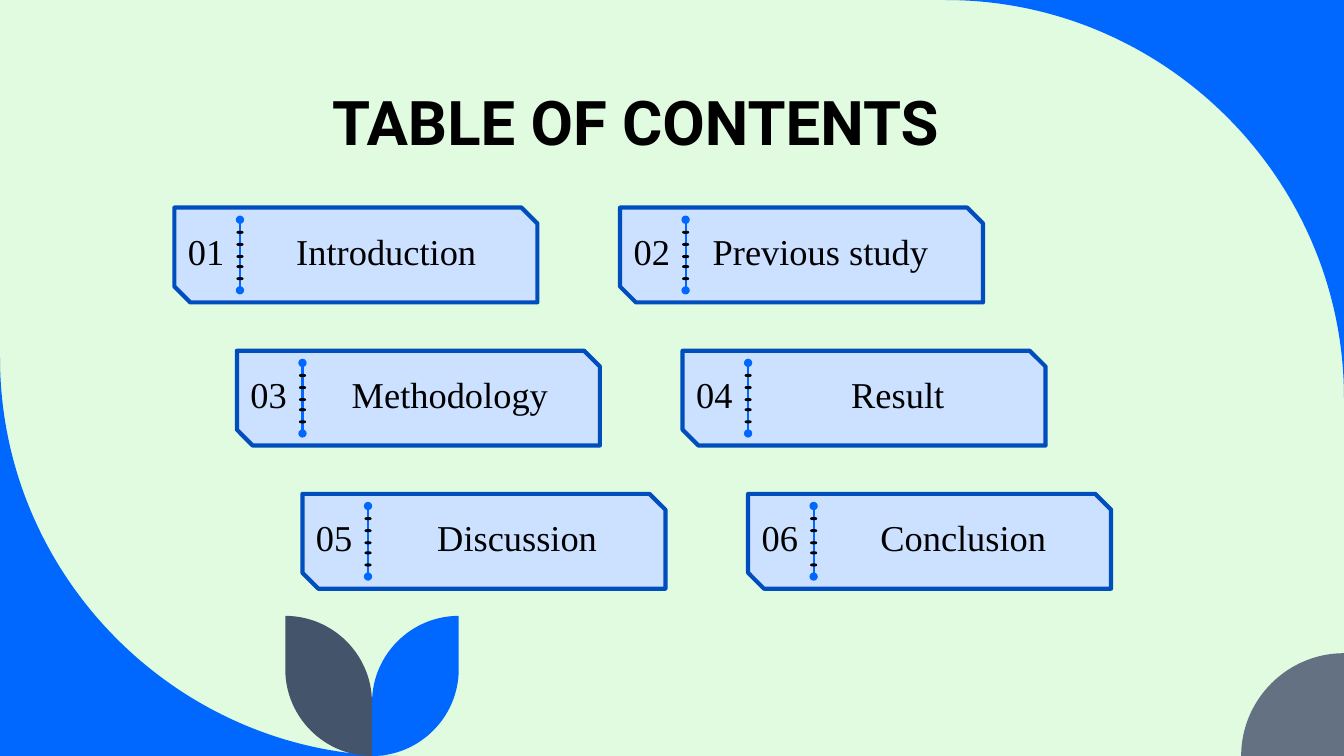
from lxml import etree
from pptx import Presentation
from pptx.dml.color import RGBColor
from pptx.enum.shapes import MSO_CONNECTOR as Connector, MSO_SHAPE as Shape
from pptx.enum.text import MSO_ANCHOR as Anchor, PP_ALIGN as Align
from pptx.oxml.ns import qn
from pptx.util import Inches, Pt

BACKGROUND = RGBColor(0xE1, 0xFB, 0xE0)
BLUE = RGBColor(0x00, 0x68, 0xFF)
DARK_BLUE = RGBColor(0x00, 0x4D, 0xBD)
PALE_BLUE = RGBColor(0xCC, 0xE1, 0xFF)
SLATE = RGBColor(0x44, 0x54, 0x6A)
GREY = RGBColor(0x63, 0x71, 0x83)
TICK_FILL = RGBColor(0x5F, 0x7D, 0x95)
BLACK = RGBColor(0, 0, 0)

WIDTH, HEIGHT = 13.33, 7.5
TITLE = "TABLE OF CONTENTS"
TITLE_BOX = (1.73, 0.82, 9.15, 0.94)

# Label, its offset inside the card, its width, its alignment
SECTIONS = [
    ("Introduction", 1.11, 2.04, Align.LEFT),
    ("Previous study", 0.82, 2.63, Align.LEFT),
    ("Methodology", 1.04, 2.18, Align.LEFT),
    ("Result", 0.82, 2.63, Align.CENTER),
    ("Discussion", 1.04, 2.18, Align.CENTER),
    ("Conclusion", 0.82, 2.63, Align.CENTER),
]
ROW_LEFTS = (1.73, 2.35, 3.0)
FIRST_TOP, ROW_STEP, COLUMN_STEP = 2.06, 1.42, 4.42
CARD_WIDTH, CARD_HEIGHT = 3.6, 0.94
NUMBER_WIDTH, TEXT_TOP, TEXT_HEIGHT = 0.63, 0.16, 0.53
DIVIDER_X, DIVIDER_TOP, DIVIDER_BOTTOM = 0.65, 0.12, 0.82
TICK_OFFSETS = (0.7, 0.58, 0.48, 0.36, 0.24)
TICK_WIDTH, TICK_HEIGHT = 0.05, 0.01

CORNER, SMALL_CORNER = 3.95, 1.02
STEM_X, LEAF, LEAF_TOP, LEAF_LOW, LEAF_HIGH = 3.69, 0.86, 6.11, 6.64, 6.97
ROUNDNESS = 0.55  # control point distance of a quarter circle
LINE, ACROSS, UPRIGHT = "line", "across", "upright"  # how a step sets off


def leaf_steps(tip_x):
    return [(tip_x, LEAF_TOP, LINE), (tip_x, LEAF_LOW, LINE),
            (STEM_X, HEIGHT, UPRIGHT), (STEM_X, LEAF_HIGH, LINE),
            (tip_x, LEAF_TOP, UPRIGHT)]


OUTLINES = [
    (BLUE, [(WIDTH - CORNER, 0, LINE), (WIDTH, CORNER, ACROSS), (WIDTH, 0, LINE)]),
    (BLUE, [(0, HEIGHT - CORNER, LINE), (CORNER, HEIGHT, UPRIGHT), (0, HEIGHT, LINE)]),
    (GREY, [(WIDTH, HEIGHT - SMALL_CORNER, LINE),
            (WIDTH - SMALL_CORNER, HEIGHT, ACROSS), (WIDTH, HEIGHT, LINE)]),
    (BLUE, leaf_steps(STEM_X + LEAF)),
    (SLATE, leaf_steps(STEM_X - LEAF)),
]


def paint(shape, fill, line=None, line_width=0):
    shape.shadow.inherit = False
    shape.fill.solid()
    shape.fill.fore_color.rgb = fill
    if line is None:
        shape.line.fill.background()
    else:
        shape.line.color.rgb = line
        shape.line.width = Pt(line_width)


def bend(segment, start, end, direction):
    """Turn a straight segment into a quarter circle."""
    corner = (end[0], start[1]) if direction == ACROSS else (start[0], end[1])
    segment.tag = qn("a:cubicBezTo")
    for position, point in enumerate((start, end)):
        x, y = (round(p + ROUNDNESS * (c - p)) for p, c in zip(point, corner))
        segment.insert(position, etree.Element(qn("a:pt"), x=str(x), y=str(y)))


def add_outline(slide, color, steps):
    points = [(Inches(x), Inches(y)) for x, y, _ in steps]
    builder = slide.shapes.build_freeform(*points[0], scale=1)
    builder.add_line_segments(points[1:], close=True)
    shape = builder.convert_to_shape()
    paint(shape, color)
    points = [(x - shape.left, y - shape.top) for x, y in points]
    segments = list(shape._element.iter(qn("a:lnTo")))
    for segment, start, end, step in zip(segments, points, points[1:], steps[1:]):
        if step[2] != LINE:
            bend(segment, start, end, step[2])


def add_text(slide, text, box, align, anchor=Anchor.MIDDLE, spacing=1.0,
             font="Times New Roman", size=26, bold=False):
    frame = slide.shapes.add_textbox(*map(Inches, box)).text_frame
    frame.word_wrap = True
    frame.vertical_anchor = anchor
    for side in ("left", "top", "right", "bottom"):
        setattr(frame, f"margin_{side}", Inches(0.1))
    paragraph = frame.paragraphs[0]
    paragraph.alignment = align
    paragraph.line_spacing = spacing
    run = paragraph.add_run()
    run.text = text
    for name, value in {"name": font, "size": Pt(size), "bold": bold}.items():
        setattr(run.font, name, value)
    run.font.color.rgb = BLACK


def add_divider(slide, x, top):
    """Draw the dotted-end line with its short ticks."""
    divider = slide.shapes.add_connector(
        Connector.STRAIGHT, Inches(x), Inches(top + DIVIDER_BOTTOM),
        Inches(x), Inches(top + DIVIDER_TOP))
    divider.line.color.rgb = BLUE
    divider.line.width = Pt(1.5)
    for end in ("a:headEnd", "a:tailEnd"):
        etree.SubElement(divider.line._get_or_add_ln(), qn(end), type="oval")
    etree.SubElement(divider._element.spPr, qn("a:effectLst"))
    for offset in TICK_OFFSETS:
        box = (x - TICK_WIDTH / 2, top + offset, TICK_WIDTH, TICK_HEIGHT)
        tick = slide.shapes.add_shape(Shape.OVAL, *map(Inches, box))
        paint(tick, TICK_FILL, BLACK, 1.5)


def add_card(slide, index, label, label_offset, label_width, align):
    row, column = divmod(index, 2)
    left = ROW_LEFTS[row] + column * COLUMN_STEP
    top = FIRST_TOP + row * ROW_STEP
    card = slide.shapes.add_shape(
        Shape.SNIP_2_DIAG_RECTANGLE,
        *map(Inches, (left, top, CARD_WIDTH, CARD_HEIGHT)))
    paint(card, PALE_BLUE, DARK_BLUE, 3)
    text_top = top + TEXT_TOP
    add_text(slide, f"{index + 1:02}", (left, text_top, NUMBER_WIDTH, TEXT_HEIGHT),
             Align.CENTER)
    add_text(slide, label,
             (left + label_offset, text_top, label_width, TEXT_HEIGHT), align)
    add_divider(slide, left + DIVIDER_X, top)


def main():
    presentation = Presentation()
    presentation.slide_width = Inches(WIDTH)
    presentation.slide_height = Inches(HEIGHT)
    slide = presentation.slides.add_slide(presentation.slide_layouts[6])
    slide.background.fill.solid()
    slide.background.fill.fore_color.rgb = BACKGROUND
    for color, steps in OUTLINES:
        add_outline(slide, color, steps)
    add_text(slide, TITLE, TITLE_BOX, Align.CENTER, Anchor.TOP, 0.9,
             "Roboto", 44, True)
    for index, section in enumerate(SECTIONS):
        add_card(slide, index, *section)
    presentation.save("out.pptx")


if __name__ == "__main__":
    main()
